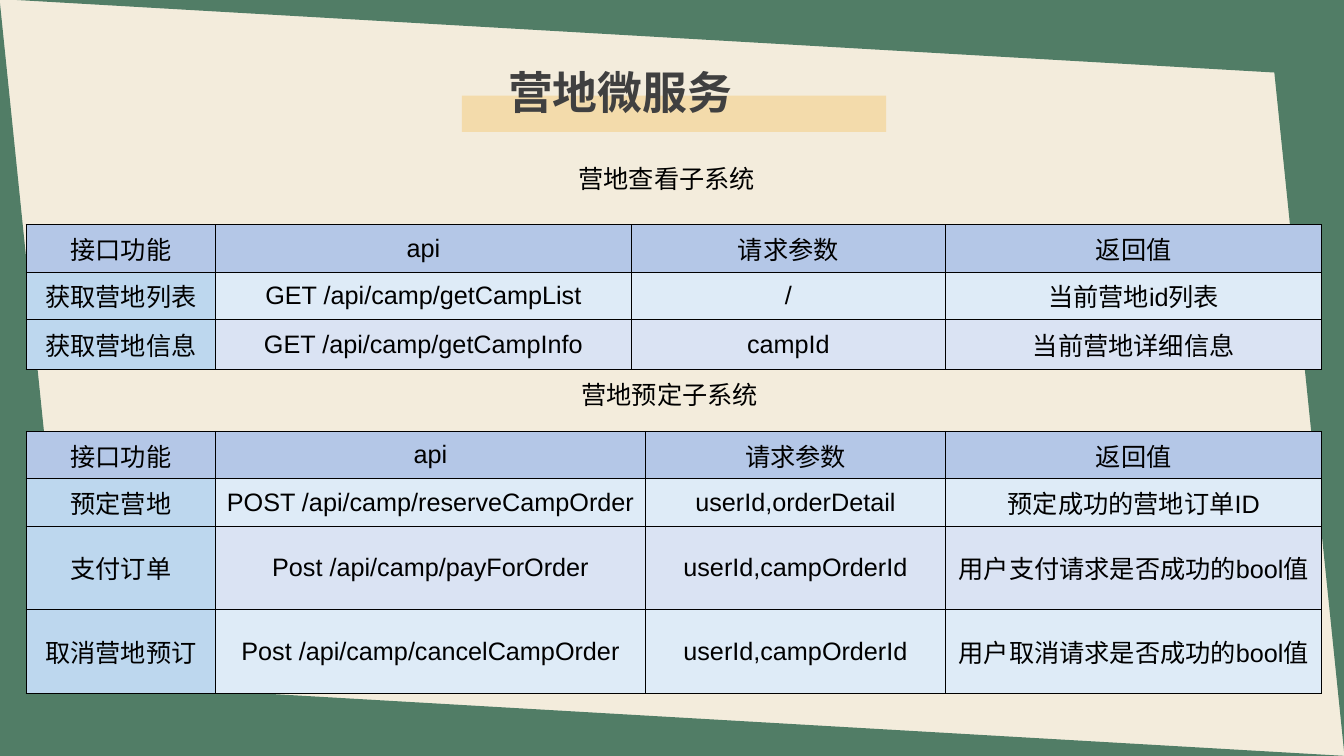
from lxml.etree import SubElement
from pptx import Presentation
from pptx.dml.color import RGBColor
from pptx.enum.shapes import MSO_SHAPE
from pptx.enum.text import MSO_ANCHOR, MSO_AUTO_SIZE, PP_ALIGN
from pptx.oxml.ns import qn
from pptx.util import Inches, Pt

GREEN, CREAM, SAND = "517D66", "F3ECDC", "F3DBAB"
HEADER_FILL, NAME_FILL = "B4C7E7", "BDD7EE"
BAND_FILLS = ["DEEBF7", "DAE3F3"]
HEADERS = ["接口功能", "api", "请求参数", "返回值"]

VIEW_ROWS = [
    ["获取营地列表", "GET /api/camp/getCampList", "/", "当前营地id列表"],
    ["获取营地信息", "GET /api/camp/getCampInfo", "campId", "当前营地详细信息"],
]
RESERVE_ROWS = [
    ["预定营地", "POST /api/camp/reserveCampOrder", "userId,orderDetail", "预定成功的营地订单ID"],
    ["支付订单", "Post /api/camp/payForOrder", "userId,campOrderId", "用户支付请求是否成功的bool值"],
    ["取消营地预订", "Post /api/camp/cancelCampOrder", "userId,campOrderId", "用户取消请求是否成功的bool值"],
]
EDGES = [
    (-0.01, -0.01, 13.35, 180, False),
    (9.2, 3.36, 7.5, 90, True),
    (0, 6.73, 13.35, 0, False),
    (-3.37, 3.35, 7.5, 270, True),
]


def paint(fill, color):
    fill.solid()
    fill.fore_color.rgb = RGBColor.from_string(color)


def style_text(frame, size, font, color, align, bold=False):
    para = frame.paragraphs[0]
    para.alignment = align
    for span in para.runs:
        span.font.size = Pt(size)
        span.font.name = font
        span.font.bold = bold
        span.font.color.rgb = RGBColor.from_string(color)


def add_block(page, kind, left, top, width, height, color):
    box = page.shapes.add_shape(kind, Inches(left), Inches(top), Inches(width), Inches(height))
    box.shadow.inherit = False
    paint(box.fill, color)
    box.line.fill.background()
    return box


def add_edge(page, left, top, width, rotation, flipped):
    edge = add_block(page, MSO_SHAPE.RIGHT_TRIANGLE, left, top, width, 0.77, GREEN)
    edge.rotation = rotation
    if flipped:
        edge.element.spPr.get_or_add_xfrm().set("flipV", "1")


def add_title(page, text):
    highlight = add_block(page, MSO_SHAPE.RECTANGLE, 4.58, 0.95, 4.21, 0.36, SAND)
    title = page.shapes.title
    highlight.element.addnext(title.element)
    title.left, title.top = Inches(4.94), Inches(0.59)
    title.width, title.height = Inches(3.46), Inches(1.18)
    frame = title.text_frame
    frame.text = text
    frame.auto_size = MSO_AUTO_SIZE.NONE
    frame.vertical_anchor = MSO_ANCHOR.TOP
    font = "Noto Sans CJK SC"
    style_text(frame, 32, font, "404040", PP_ALIGN.JUSTIFY, True)
    span = frame.paragraphs[0].runs[0]
    SubElement(span.font._element, qn("a:ea"), typeface=font)


def add_caption(page, text, left, top):
    box = page.shapes.add_textbox(Inches(left), Inches(top), Inches(2.03), Inches(0.4))
    box.text_frame.word_wrap = False
    box.text_frame.text = text
    style_text(box.text_frame, 18, "Arial", "000000", PP_ALIGN.LEFT)


def add_borders(cell):
    properties = cell._tc.get_or_add_tcPr()
    for side in ("lnL", "lnR", "lnT", "lnB"):
        line = SubElement(properties, qn(f"a:{side}"), w=str(Pt(1)))
        fill = SubElement(line, qn("a:solidFill"))
        SubElement(fill, qn("a:srgbClr"), val="000000")


def cell_color(row, column):
    if row == 0:
        return HEADER_FILL
    return NAME_FILL if column == 0 else BAND_FILLS[(row - 1) % 2]


def add_api_table(page, top, widths, heights, rows):
    contents = [HEADERS] + rows
    table = page.shapes.add_table(
        len(contents), len(widths), Inches(0.26), Inches(top),
        Inches(sum(widths)), Inches(sum(heights))).table
    for column, width in zip(table.columns, widths):
        column.width = Inches(width)
    for row, texts in enumerate(contents):
        table.rows[row].height = Inches(heights[row])
        for column, text in enumerate(texts):
            cell = table.cell(row, column)
            cell.text_frame.text = text
            cell.vertical_anchor = MSO_ANCHOR.MIDDLE
            style_text(cell.text_frame, 18, "Arial", "000000", PP_ALIGN.CENTER)
            add_borders(cell)
            paint(cell.fill, cell_color(row, column))


def main():
    deck = Presentation()
    deck.slide_width, deck.slide_height = Inches(13.33), Inches(7.5)
    page = deck.slides.add_slide(deck.slide_layouts[5])
    paint(page.background.fill, CREAM)
    for edge in EDGES:
        add_edge(page, *edge)
    add_title(page, "营地微服务")
    add_api_table(page, 2.23, [1.88, 4.12, 3.12, 3.73], [0.47, 0.47, 0.5], VIEW_ROWS)
    add_caption(page, "营地查看子系统", 5.64, 1.57)
    add_api_table(page, 4.28, [1.88, 4.26, 2.98, 3.73], [0.47, 0.47, 0.83, 0.83], RESERVE_ROWS)
    add_caption(page, "营地预定子系统", 5.67, 3.71)
    deck.save("out.pptx")


if __name__ == "__main__":
    main()
